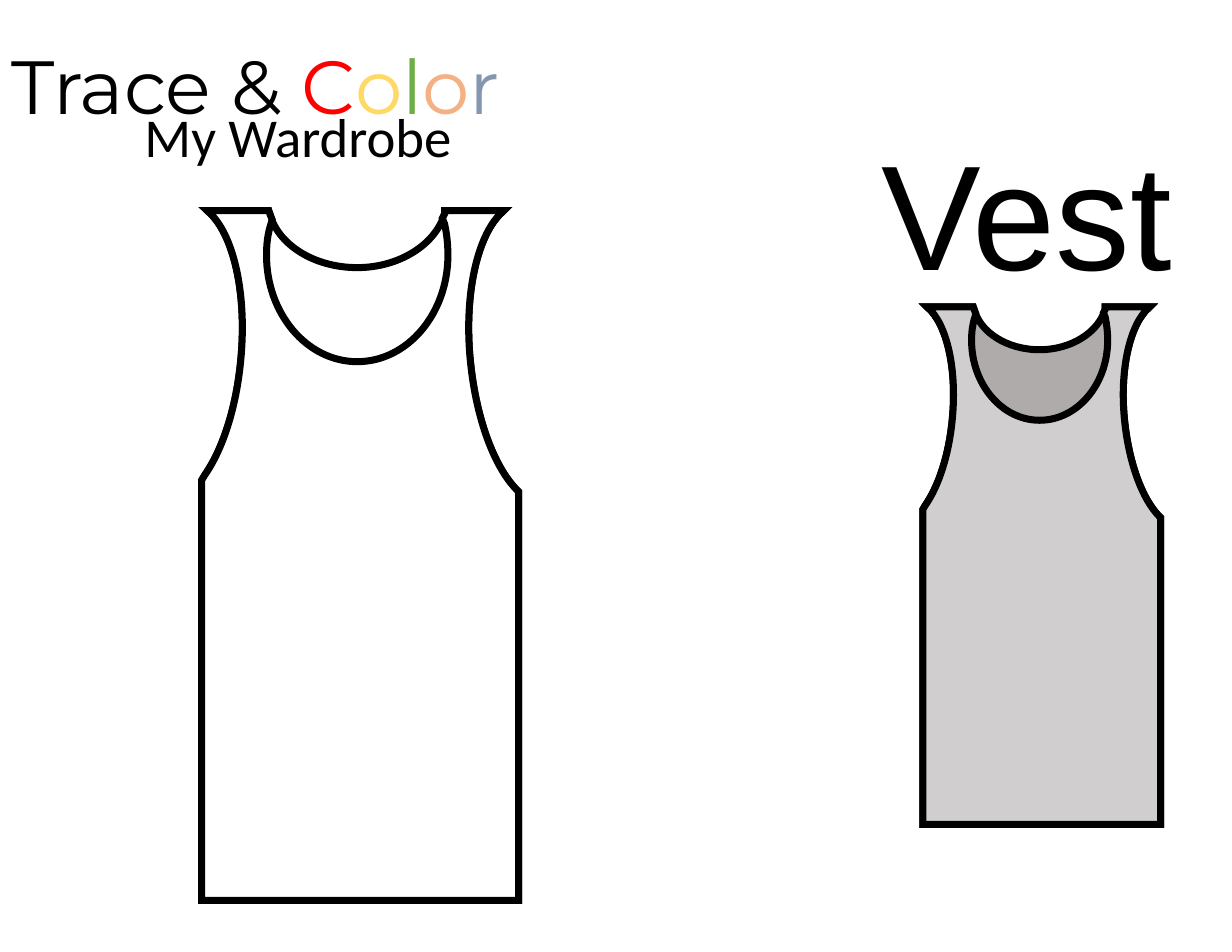
from lxml import etree
from pptx import Presentation
from pptx.dml.color import RGBColor
from pptx.enum.text import MSO_ANCHOR, MSO_AUTO_SIZE, PP_ALIGN
from pptx.oxml.ns import qn
from pptx.util import Inches, Pt

COLORS = {
    "black": "000000", "white": "FFFFFF", "red": "FF0000", "yellow": "FFD966",
    "green": "70AD47", "orange": "F4B183", "blue": "8497B0",
    "lining": "AFABAB", "cloth": "D0CECE",
}

# Vest outline in inches: pairs are line ends, three pairs in a row are a curve
START = (1.85, 1.88)
BACK_NECK = [
    (2.4, 1.88), (2.41, 1.91),
    (2.48, 2.18, 2.8, 2.39, 3.19, 2.39),
    (3.57, 2.39, 3.89, 2.18, 3.97, 1.91),
]
FRONT_NECK = [
    (2.4, 1.88), (2.41, 1.91), (2.43, 1.96), (2.42, 2),
    (2.39, 2.09, 2.38, 2.18, 2.38, 2.28),
    (2.38, 2.8, 2.74, 3.23, 3.19, 3.23),
    (3.64, 3.23, 4, 2.8, 4, 2.28),
    (4, 2.18, 3.99, 2.09, 3.97, 2),
    (3.95, 1.95), (3.97, 1.91),
]
BODY = [
    (3.97, 1.88), (4.5, 1.88), (4.49, 1.89),
    (4.27, 2.08, 4.14, 2.61, 4.2, 3.22),
    (4.25, 3.73, 4.41, 4.17, 4.62, 4.38),
    (4.63, 4.39), (4.63, 8.04), (1.8, 8.04), (1.8, 4.29), (1.83, 4.24),
    (1.99, 4.01, 2.11, 3.64, 2.15, 3.22),
    (2.21, 2.61, 2.08, 2.08, 1.86, 1.89),
]


def write(box, spans, font, size, align):
    """Fill a box with one line of coloured spans."""
    frame = box.text_frame
    frame.word_wrap = True
    frame.auto_size = MSO_AUTO_SIZE.SHAPE_TO_FIT_TEXT
    frame.vertical_anchor = MSO_ANCHOR.TOP
    para = frame.paragraphs[0]
    para.alignment = align
    for text, color in spans:
        span = para.add_run()
        span.text = text
        span.font.name = font
        span.font.size = Pt(size)
        span.font.color.rgb = RGBColor.from_string(COLORS[color])


def bend(piece, curves):
    """Turn the straight segments that have a curve into Bezier curves."""
    lines = list(piece.element.iter(qn("a:lnTo")))
    for line, points in zip(lines, curves):
        if len(points) == 1:
            continue
        line.tag = qn("a:cubicBezTo")
        for point in list(line):
            line.remove(point)
        for x, y in points:
            etree.SubElement(line, qn("a:pt"), x=str(x - piece.left), y=str(y - piece.top))


deck = Presentation()
deck.slide_width, deck.slide_height = Inches(11), Inches(8.5)
page = deck.slides.add_slide(deck.slide_layouts[5])

# Title
title = page.shapes.title
title.left, title.top = Inches(0), Inches(0.3)
title.width, title.height = Inches(5.51), Inches(0.92)
write(title, [("Trace & ", "black"), ("C", "red"), ("o", "yellow"), ("l", "green"),
              ("o", "orange"), ("r", "blue")], "Montserrat", 48.4, PP_ALIGN.LEFT)

# Word and subtitle
for text, font, size, place in [
    ("Vest", "Arial", 96, (7.33, 1.03, 3.67, 1.72)),
    ("My Wardrobe", "Calibri", 35.2, (0.1, 0.87, 5.12, 0.69)),
]:
    box = page.shapes.add_textbox(*[Inches(length) for length in place])
    write(box, [(text, "black")], font, size, PP_ALIGN.CENTER)

# Vests: a small coloured one and a large one to trace, back piece first
for scale, left, top, back_color, front_color in [
    (0.75, 6.89, 1.33, "lining", "cloth"),
    (1, 0, 0, "white", "white"),
]:
    vest = page.shapes.add_group_shape()
    for neck, color in [(BACK_NECK, back_color), (FRONT_NECK, front_color)]:
        curves = [[(Inches(left + x * scale), Inches(top + y * scale))
                   for x, y in zip(segment[::2], segment[1::2])]
                  for segment in [START] + neck + BODY]
        builder = vest.shapes.build_freeform(*curves[0][0])
        builder.add_line_segments([points[-1] for points in curves[1:]], close=True)
        piece = builder.convert_to_shape()
        bend(piece, curves[1:])
        piece.shadow.inherit = False
        piece.fill.solid()
        piece.fill.fore_color.rgb = RGBColor.from_string(COLORS[color])
        piece.line.width = Pt(4.5)
        piece.line.color.rgb = RGBColor.from_string(COLORS["black"])
        # Sharp corners
        outline = piece.element.spPr.find(qn("a:ln"))
        etree.SubElement(outline, qn("a:miter"), lim="800000")

deck.save("out.pptx")
